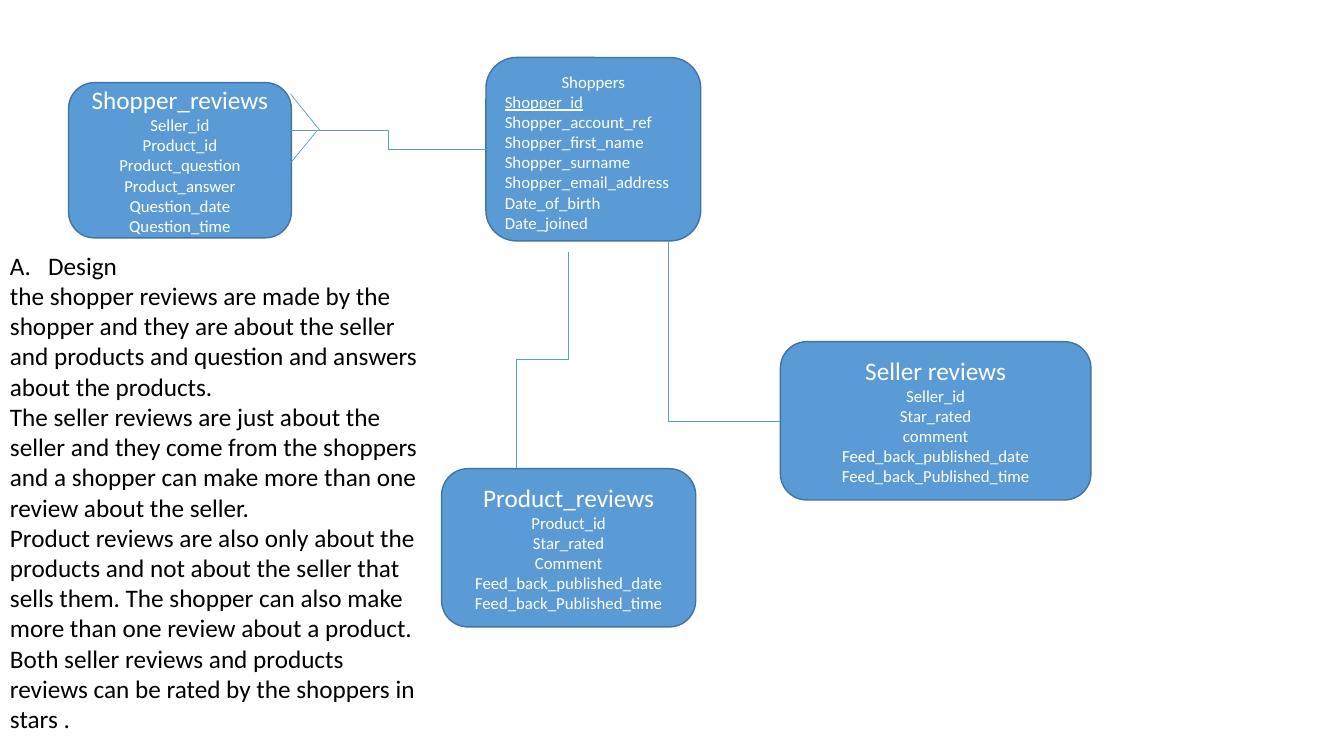
"""Build the review entity diagram slide."""
import math
from dataclasses import dataclass

import pptx
import pptx.dml.color
import pptx.enum.shapes
import pptx.enum.text
import pptx.oxml.ns
import pptx.slide
import pptx.text.text
import pptx.util
from lxml import etree

Inches = pptx.util.Inches
Pt = pptx.util.Pt
RGBColor = pptx.dml.color.RGBColor
Align = pptx.enum.text.PP_ALIGN
Anchor = pptx.enum.text.MSO_ANCHOR
Link = pptx.enum.shapes.MSO_CONNECTOR
qn = pptx.oxml.ns.qn

BLUE = RGBColor(0x5B, 0x9B, 0xD5)
DARK_BLUE = RGBColor(0x43, 0x73, 0x9E)
WHITE = RGBColor(0xFF, 0xFF, 0xFF)
BLACK = RGBColor(0x00, 0x00, 0x00)
FONT = "Calibri"
BODY_SIZE = 18
FIELD_SIZE = 12


@dataclass(frozen=True)
class Entity:
    """A rounded box with a heading and its fields; sizes in inches."""
    left: float
    top: float
    width: float
    height: float
    heading: str
    fields: tuple[str, ...]
    heading_size: int = BODY_SIZE
    field_align: Align = Align.CENTER
    anchor: Anchor = Anchor.MIDDLE
    key: str = ""


@dataclass(frozen=True)
class Relation:
    """A line between two points in inches, its frame turned by degrees."""
    start: tuple[float, float]
    end: tuple[float, float]
    kind: Link = Link.ELBOW
    turn: int = 0
    preset: str = ""


FEEDBACK_FIELDS = ("Feed_back_published_date", "Feed_back_Published_time")
ENTITIES = (
    Entity(0.68, 0.82, 2.21, 1.54, "Shopper_reviews",
           ("Seller_id", "Product_id", "Product_question", "Product_answer",
            "Question_date", "Question_time")),
    Entity(7.74, 3.39, 3.08, 1.57, "Seller reviews",
           ("Seller_id", "Star_rated", "comment") + FEEDBACK_FIELDS),
    Entity(4.38, 4.65, 2.52, 1.57, "Product_reviews",
           ("Product_id", "Star_rated", "Comment") + FEEDBACK_FIELDS),
    Entity(4.82, 0.57, 2.13, 1.82, "Shoppers",
           ("Shopper_id", "Shopper_account_ref", "Shopper_first_name",
            "Shopper_surname", "Shopper_email_address", "Date_of_birth",
            "Date_joined"),
           FIELD_SIZE, Align.LEFT, Anchor.TOP, "Shopper_id"),
)
RELATIONS = (
    Relation((4.82, 1.48), (2.88, 1.29)),
    Relation((3.15, 1.29), (2.88, 1.62), Link.STRAIGHT),
    Relation((3.17, 1.29), (2.88, 0.93), Link.STRAIGHT),
    Relation((6.63, 2.4), (7.74, 4.18), turn=270, preset="bentConnector2"),
    Relation((5.64, 2.5), (5.12, 4.64), turn=90),
)
DESIGN_NOTES = (
    "Design ",
    "the shopper reviews are made by the shopper and they are about the seller "
    "and products and question and answers about the products. ",
    "The seller reviews are just about the seller and they come from the "
    "shoppers and a shopper can make more than one review about the seller. ",
    "Product reviews are also only about the products and not about the seller "
    "that sells them. The shopper can also make more than one review about a "
    "product.",
    "Both seller reviews and products reviews can be rated by the shoppers in "
    "stars . ",
)


def style_paragraph(paragraph: pptx.text.text._Paragraph, size: int,
                    color: RGBColor, align: Align) -> None:
    """Set the font and alignment of a paragraph."""
    paragraph.alignment = align
    paragraph.font.name = FONT
    paragraph.font.size = Pt(size)
    paragraph.font.color.rgb = color


def add_entity(slide: pptx.slide.Slide, entity: Entity) -> None:
    """Draw one entity box."""
    box = slide.shapes.add_shape(
        pptx.enum.shapes.MSO_SHAPE.ROUNDED_RECTANGLE,
        Inches(entity.left), Inches(entity.top),
        Inches(entity.width), Inches(entity.height))
    box.shadow.inherit = False
    box.fill.solid()
    box.fill.fore_color.rgb = BLUE
    box.line.color.rgb = DARK_BLUE
    box.line.width = Pt(1)
    frame = box.text_frame
    frame.word_wrap = True
    frame.vertical_anchor = entity.anchor
    frame.text = "\n".join((entity.heading,) + entity.fields)
    heading, *fields = frame.paragraphs
    style_paragraph(heading, entity.heading_size, WHITE, Align.CENTER)
    for field in fields:
        style_paragraph(field, FIELD_SIZE, WHITE, entity.field_align)
        if field.text == entity.key:
            field.font.underline = True


def add_relation(slide: pptx.slide.Slide, relation: Relation) -> None:
    """Draw a line, placing its ends so that the turned frame meets them."""
    (x1, y1), (x2, y2) = relation.start, relation.end
    middle_x, middle_y = (x1 + x2) / 2, (y1 + y2) / 2
    cos = math.cos(math.radians(relation.turn))
    sin = math.sin(math.radians(relation.turn))
    dx, dy = x1 - middle_x, y1 - middle_y
    frame_dx, frame_dy = dx * cos + dy * sin, dy * cos - dx * sin
    line = slide.shapes.add_connector(
        relation.kind,
        Inches(middle_x + frame_dx), Inches(middle_y + frame_dy),
        Inches(middle_x - frame_dx), Inches(middle_y - frame_dy))
    line.line.color.rgb = BLUE
    line.line.width = Pt(0.5)
    properties = line._element.spPr
    etree.SubElement(properties, qn("a:effectLst"))
    if relation.turn:
        properties.find(qn("a:xfrm")).set("rot", str(relation.turn * 60000))
    if relation.preset:
        properties.find(qn("a:prstGeom")).set("prst", relation.preset)


def add_design_notes(slide: pptx.slide.Slide) -> None:
    """Write the notes, the first of them lettered A."""
    notes = slide.shapes.add_textbox(
        Inches(0), Inches(2.43), Inches(4.25), Inches(4.95))
    frame = notes.text_frame
    frame.word_wrap = True
    frame.text = "\n".join(DESIGN_NOTES)
    for paragraph in frame.paragraphs:
        style_paragraph(paragraph, BODY_SIZE, BLACK, Align.LEFT)
    lettered = frame.paragraphs[0]._p.get_or_add_pPr()
    indent = Inches(0.38)
    lettered.set("marL", str(indent))
    lettered.set("indent", str(-indent))
    letter = etree.Element(qn("a:buAutoNum"), type="alphaUcPeriod")
    lettered.insert(0, letter)


def main() -> None:
    """Build and save the slide."""
    presentation = pptx.Presentation()
    presentation.slide_width = Inches(13.33)
    presentation.slide_height = Inches(7.5)
    slide = presentation.slides.add_slide(presentation.slide_layouts[6])
    add_design_notes(slide)
    for entity in ENTITIES:
        add_entity(slide, entity)
    for relation in RELATIONS:
        add_relation(slide, relation)
    presentation.save("out.pptx")


main()
